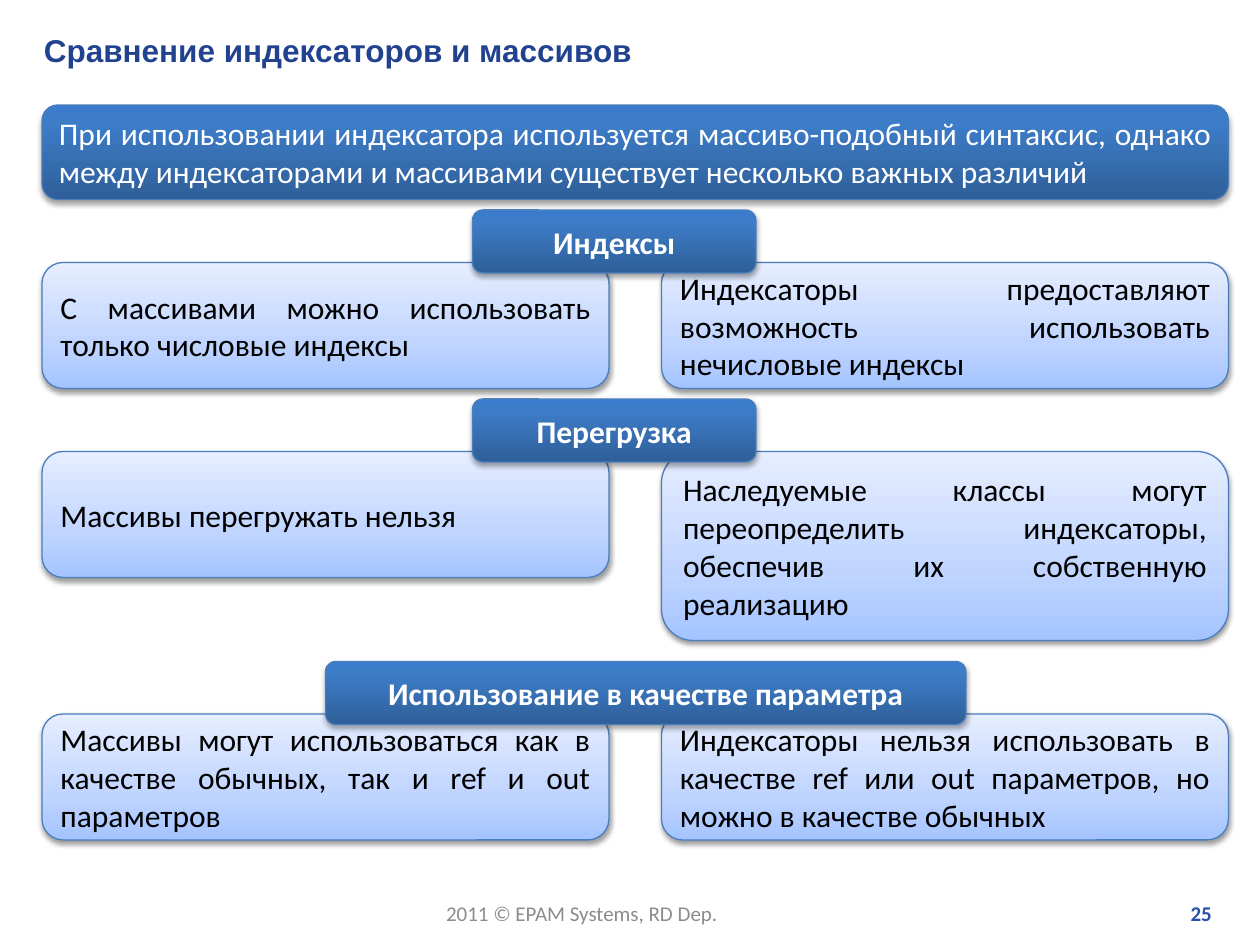
from pptx import Presentation
from pptx.dml.color import RGBColor
from pptx.enum.shapes import MSO_SHAPE as Shape
from pptx.enum.text import MSO_ANCHOR as Anchor, PP_ALIGN as Align
from pptx.oxml import parse_xml
from pptx.oxml.ns import nsdecls
from pptx.util import Inches, Pt

CELL = Inches(1) / 12
LEFT, WIDTH, CARD_WIDTH = 4, 113, 54
HEADER_HEIGHT, CARD_OFFSET = 6, 5
DARK = {"stops": [(0, "2F5F99"), (80, "3D7CC7"), (100, "3A7CCB")],
        "alpha": 35, "distance": 1.8}
LIGHT = {"stops": [(0, "A4C4FF"), (35, "BFD4FF"), (100, "E6EEFF")],
         "alpha": 38, "distance": 1.6}

SECTIONS = [
    {"top": 20, "header": "Индексы", "span": (45, 27), "cards": [
        ("С массивами можно использовать только числовые индексы", 12),
        ("Индексаторы предоставляют возможность использовать нечисловые индексы", 12)]},
    {"top": 38, "header": "Перегрузка", "span": (45, 27), "cards": [
        ("Массивы перегружать нельзя", 12),
        ("Наследуемые классы могут переопределить индексаторы, "
         "обеспечив их собственную реализацию", 18)]},
    {"top": 63, "header": "Использование в качестве параметра", "span": (31, 61), "cards": [
        ("Массивы могут использоваться как в качестве обычных, "
         "так и ref и out параметров", 12),
        ("Индексаторы нельзя использовать в качестве ref или out параметров, "
         "но можно в качестве обычных", 12)]},
]


def color(value):
    """Turn a hex string into a colour."""
    return RGBColor.from_string(value)


def cells(*box):
    """Turn grid columns and rows into lengths."""
    return [round(length * CELL) for length in box]


def write(frame, text, ink, size=18, font="Calibri", bold=False, align=Align.LEFT):
    """Write one paragraph into a text frame."""
    para = frame.paragraphs[0]
    para.alignment = align
    span = para.add_run()
    span.text = text
    span.font.name, span.font.size, span.font.bold = font, Pt(size), bold
    span.font.color.rgb = color(ink)


def add_label(page, box, text, ink, wrap=True, **style):
    """Place a plain text box."""
    frame = page.shapes.add_textbox(*cells(*box)).text_frame
    frame.word_wrap = wrap
    write(frame, text, ink, **style)


def add_panel(shapes, box, look, text, ink, **style):
    """Place a rounded panel with a gradient, a shadow and text."""
    panel = shapes.add_shape(Shape.ROUNDED_RECTANGLE, *cells(*box))
    panel.line.color.rgb = color("4B7EBC")
    panel.line.width = Pt(0.75)
    panel.shadow.inherit = False
    stops = "".join(
        f'<a:gs pos="{place * 1000}"><a:srgbClr val="{tint}"/></a:gs>'
        for place, tint in look["stops"])
    properties = panel._element.spPr
    properties.insert(2, parse_xml(
        f'<a:gradFill {nsdecls("a")} rotWithShape="1"><a:gsLst>{stops}</a:gsLst>'
        '<a:lin ang="16200000" scaled="0"/></a:gradFill>'))
    properties[-1].append(parse_xml(
        f'<a:outerShdw {nsdecls("a")} blurRad="{Pt(3.1)}" dist="{Pt(look["distance"])}" '
        'dir="5400000" rotWithShape="0"><a:srgbClr val="000000">'
        f'<a:alpha val="{look["alpha"] * 1000}"/></a:srgbClr></a:outerShdw>'))
    frame = panel.text_frame
    frame.word_wrap = True
    frame.vertical_anchor = Anchor.MIDDLE
    write(frame, text, ink, **style)


def add_section(page, top, header, span, cards):
    """Group two compared cards under an overlapping header."""
    shapes = page.shapes.add_group_shape().shapes
    for column, (text, height) in enumerate(cards):
        left = LEFT + column * (WIDTH - CARD_WIDTH)
        add_panel(shapes, (left, top + CARD_OFFSET, CARD_WIDTH, height),
                  LIGHT, text, "000000", align=Align.JUSTIFY)
    left, width = span
    add_panel(shapes, (left, top, width, HEADER_HEIGHT),
              DARK, header, "FFFFFF", bold=True, align=Align.CENTER)


def add_footer(page, top, height):
    """Place the copyright line and the page number."""
    add_label(page, (41.3, top, 28.7, height), "2011 © EPAM Systems, RD Dep.",
              "8C8C8C", wrap=False, size=12)
    add_label(page, (91.2, top, 25.4, height), "25", "2750AB",
              size=12, bold=True, align=Align.RIGHT)


def main():
    """Build the comparison slide."""
    deck = Presentation()
    deck.slide_width, deck.slide_height = Inches(10), Inches(7.5)
    page = deck.slides.add_slide(deck.slide_layouts[6])
    add_footer(page, 85.2, 3.6)
    add_label(page, (3, 2.4, 114.5, 4.8), "Сравнение индексаторов и массивов",
              "21438F", font="Arial", bold=True)
    add_panel(page.shapes, (LEFT, 10, WIDTH, 9), DARK,
              "При использовании индексатора используется массиво-подобный синтаксис, "
              "однако между индексаторами и массивами существует несколько важных различий",
              "FFFFFF", align=Align.JUSTIFY)
    for section in SECTIONS:
        add_section(page, **section)
    deck.save("out.pptx")


if __name__ == "__main__":
    main()
